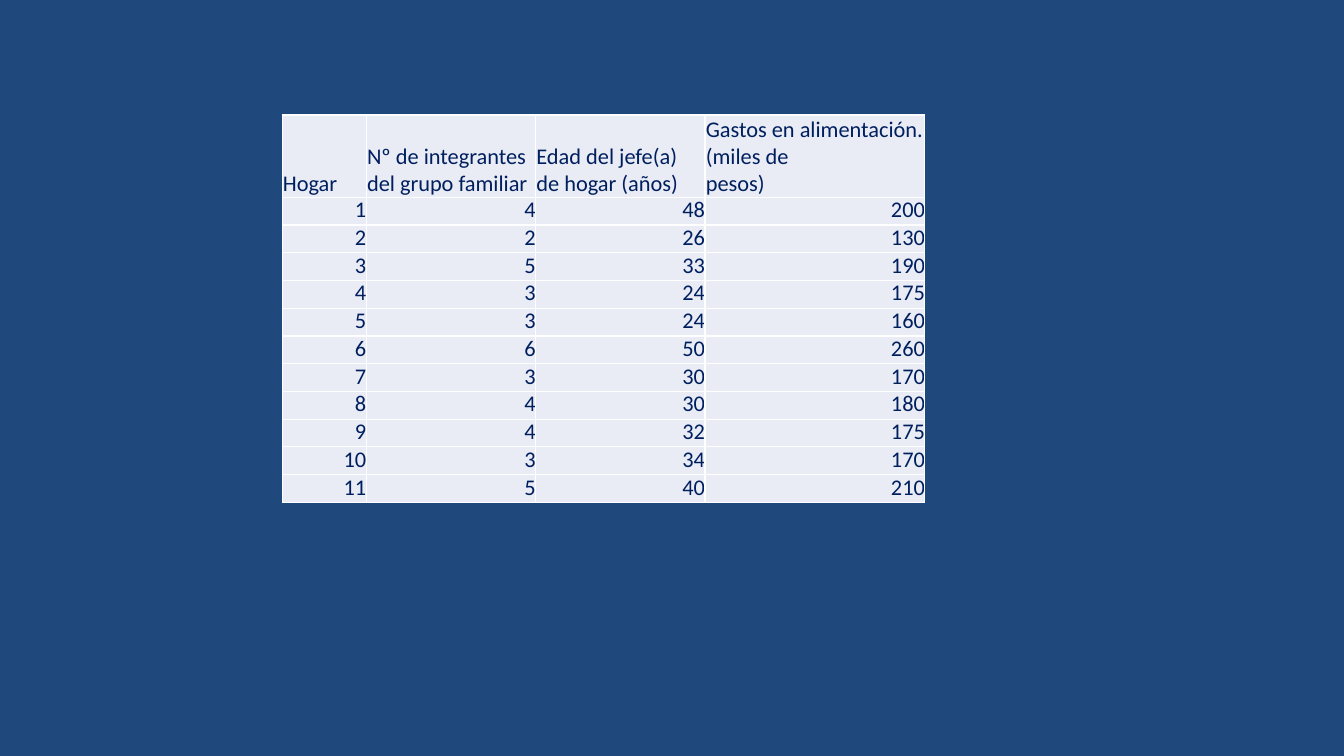
from lxml import etree
from pptx import Presentation
from pptx.dml.color import RGBColor
from pptx.enum.text import MSO_ANCHOR as Anchor, PP_ALIGN as Align
from pptx.oxml.ns import qn
from pptx.util import Cm, Pt

NAVY = RGBColor(0x1F, 0x48, 0x7C)
PALE = RGBColor(0xE9, 0xEC, 0xF4)
INK = RGBColor(0x00, 0x1F, 0x5F)
WHITE = RGBColor(0xFF, 0xFF, 0xFF)

HEADERS = [
    "Hogar",
    "Nº de integrantes\ndel grupo familiar",
    "Edad del jefe(a)\nde hogar (años)",
    "Gastos en alimentación.(miles de\npesos)",
]
HOUSEHOLDS = [
    (4, 48, 200), (2, 26, 130), (5, 33, 190), (3, 24, 175),
    (3, 24, 160), (6, 50, 260), (3, 30, 170), (4, 30, 180),
    (4, 32, 175), (3, 34, 170), (5, 40, 210),
]
COLUMN_WIDTHS = [2.12, 4.27, 4.27, 5.54]
HEADER_HEIGHT = 2.07
ROW_HEIGHT = 0.7


def add_borders(cell):
    properties = cell._tc.get_or_add_tcPr()
    for position, side in enumerate(("lnL", "lnR", "lnT", "lnB")):
        line = etree.Element(qn(f"a:{side}"), w=str(Pt(1)))
        fill = etree.SubElement(line, qn("a:solidFill"))
        etree.SubElement(fill, qn("a:srgbClr"), val=str(WHITE))
        properties.insert(position, line)


presentation = Presentation()
presentation.slide_width = Cm(33.87)
presentation.slide_height = Cm(19.05)
slide = presentation.slides.add_slide(presentation.slide_layouts[6])
slide.background.fill.solid()
slide.background.fill.fore_color.rgb = NAVY

rows = [HEADERS] + [(number, *values) for number, values in enumerate(HOUSEHOLDS, 1)]
table = slide.shapes.add_table(
    len(rows), len(HEADERS), Cm(7.11), Cm(2.9), Cm(sum(COLUMN_WIDTHS)),
    Cm(HEADER_HEIGHT + ROW_HEIGHT * len(HOUSEHOLDS)),
).table
table.first_row = False
table.horz_banding = False
for column, width in zip(table.columns, COLUMN_WIDTHS):
    column.width = Cm(width)

for row_index, row in enumerate(rows):
    is_header = row_index == 0
    table.rows[row_index].height = Cm(HEADER_HEIGHT if is_header else ROW_HEIGHT)
    for column_index, value in enumerate(row):
        cell = table.cell(row_index, column_index)
        cell.margin_left = Cm(0.02 if is_header else 0)
        cell.margin_right = cell.margin_top = cell.margin_bottom = Cm(0)
        cell.vertical_anchor = Anchor.BOTTOM if is_header else Anchor.TOP
        cell.fill.solid()
        cell.fill.fore_color.rgb = PALE
        add_borders(cell)
        cell.text_frame.text = str(value)
        for paragraph in cell.text_frame.paragraphs:
            paragraph.alignment = Align.LEFT if is_header else Align.RIGHT
            paragraph.line_spacing = Pt(19.2 if is_header else 18.9)
            font = paragraph.runs[0].font
            font.name = "Calibri"
            font.size = Pt(16)
            font.color.rgb = INK

presentation.save("out.pptx")
